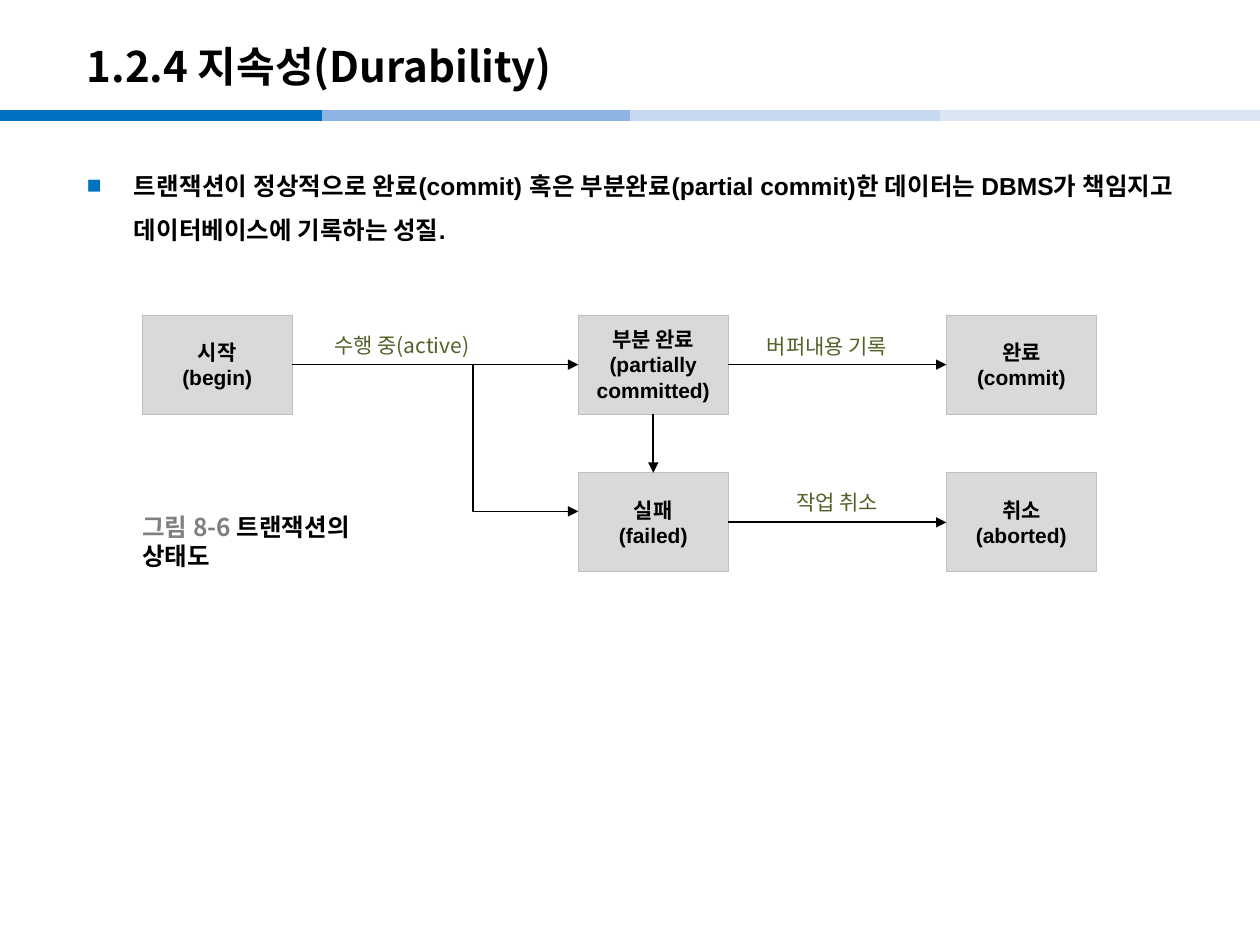
import dataclasses
import lxml.etree
import pptx
import pptx.dml.color
import pptx.enum.shapes
import pptx.enum.text
import pptx.oxml.ns
import pptx.util

Cm = pptx.util.Cm
Pt = pptx.util.Pt
Align = pptx.enum.text.PP_ALIGN
Anchor = pptx.enum.text.MSO_ANCHOR
Link = pptx.enum.shapes.MSO_CONNECTOR
qn = pptx.oxml.ns.qn


@dataclasses.dataclass(frozen=True)
class Theme:
    sans: str = "Noto Sans CJK KR"
    arial: str = "Arial"
    black: str = "000000"
    gray: str = "808080"
    green: str = "4F6228"
    blue: str = "0070C0"
    fill: str = "D9D9D9"
    edge: str = "BFBFBF"
    bars: tuple = ("0070C0", "8EB4E3", "C6D9F1", "DCE6F2")
    title: int = 24
    body: int = 14
    small: int = 12


def color(code):
    return pptx.dml.color.RGBColor.from_string(code)


def add(parent, tag, **attrs):
    return lxml.etree.SubElement(parent, qn(tag), attrs)


class Maker:
    def __init__(self, slide, theme):
        self.slide = slide
        self.theme = theme

    def style(self, run, size, code, face, bold=True):
        font = run.font
        font.size = Pt(size)
        font.bold = bold
        font.color.rgb = color(code)
        font.name = face
        add(run._r.get_or_add_rPr(), "a:ea", typeface=self.theme.sans)

    def text(self, area, parts, size, face, align=Align.LEFT,
             anchor=Anchor.MIDDLE, bold=True, wrap=True):
        box = self.slide.shapes.add_textbox(*map(Cm, area))
        frame = box.text_frame
        frame.word_wrap = wrap
        frame.vertical_anchor = anchor
        para = frame.paragraphs[0]
        para.alignment = align
        for words, code in parts:
            run = para.add_run()
            run.text = words
            self.style(run, size, code, face, bold)
        return para

    def bullet(self, area, words):
        look = self.theme
        para = self.text(area, [(words, look.black)], look.body, look.arial,
                         Align.JUSTIFY, Anchor.TOP)
        para.line_spacing = 1.5
        props = para._p.get_or_add_pPr()
        props.set("marL", str(Cm(0.95)))
        props.set("indent", str(-Cm(0.95)))
        add(add(props, "a:buClr"), "a:srgbClr", val=look.blue)
        add(props, "a:buFont", typeface=look.arial)
        add(props, "a:buChar", char="■")

    def label(self, area, words):
        look = self.theme
        self.text(area, [(words, look.green)], look.small, look.sans,
                  Align.CENTER, bold=False)

    def state(self, area, words):
        look = self.theme
        shape = self.slide.shapes.add_shape(
            pptx.enum.shapes.MSO_SHAPE.RECTANGLE, *map(Cm, area))
        shape.shadow.inherit = False
        shape.fill.solid()
        shape.fill.fore_color.rgb = color(look.fill)
        shape.line.color.rgb = color(look.edge)
        shape.line.width = Pt(0.5)
        frame = shape.text_frame
        frame.word_wrap = True
        frame.vertical_anchor = Anchor.MIDDLE
        frame.text = words
        for para in frame.paragraphs:
            para.alignment = Align.CENTER
            for run in para.runs:
                self.style(run, look.small, look.black, look.arial)

    def line(self, ends, code, width, kind=Link.STRAIGHT):
        link = self.slide.shapes.add_connector(kind, *map(Cm, ends))
        link.line.color.rgb = color(code)
        link.line.width = Pt(width)
        add(link._element.spPr, "a:effectLst")
        return link

    def arrow(self, ends, kind=Link.STRAIGHT):
        link = self.line(ends, self.theme.black, 1, kind)
        add(link.line._get_or_add_ln(), "a:tailEnd", type="triangle")


def main():
    deck = pptx.Presentation()
    deck.slide_width = Cm(25.4)
    deck.slide_height = Cm(19.05)
    look = Theme()
    make = Maker(deck.slides.add_slide(deck.slide_layouts[6]), look)

    stops = (0, 6.5, 12.7, 18.95, 25.4)
    for left, right, code in zip(stops, stops[1:], look.bars):
        make.line((left, 2.33, right, 2.33), code, 6)

    make.text((1.5, 0.56, 21, 1.52), [("1.2.4 지속성(Durability)", look.black)],
              look.title, look.sans)
    make.bullet((1.5, 3.02, 22.4, 15.2),
                "트랜잭션이 정상적으로 완료(commit) 혹은 부분완료(partial commit)한 "
                "데이터는 DBMS가 책임지고 데이터베이스에 기록하는 성질.")

    wide, high = 3.02, 2
    start, mid, end = 2.87, 11.66, 19.08
    top, low = 6.35, 9.53
    states = (
        (start, top, "시작\n(begin)"),
        (mid, top, "부분 완료\n(partially committed)"),
        (end, top, "완료\n(commit)"),
        (mid, low, "실패\n(failed)"),
        (end, low, "취소\n(aborted)"),
    )
    for left, y, words in states:
        make.state((left, y, wide, high), words)

    for left, right, y in ((start, mid, top), (mid, end, top), (mid, end, low)):
        make.arrow((left + wide, y + high / 2, right, y + high / 2))
    make.arrow((mid + wide / 2, top + high, mid + wide / 2, low))
    make.arrow((7.42, top + high / 2, mid, 10.31), Link.ELBOW)

    make.label((6.27, 6.58, 3.66, 0.74), "수행 중(active)")
    make.label((14.2, 6.6, 4.95, 0.74), "버퍼내용 기록")
    make.label((14.4, 9.75, 4.95, 0.74), "작업 취소")
    make.text((2.62, 10.52, 5.31, 0.79),
              [("그림 8-6 ", look.gray), ("트랜잭션의 상태도", look.black)],
              look.body, look.sans, wrap=False)

    deck.save("out.pptx")


if __name__ == "__main__":
    main()
